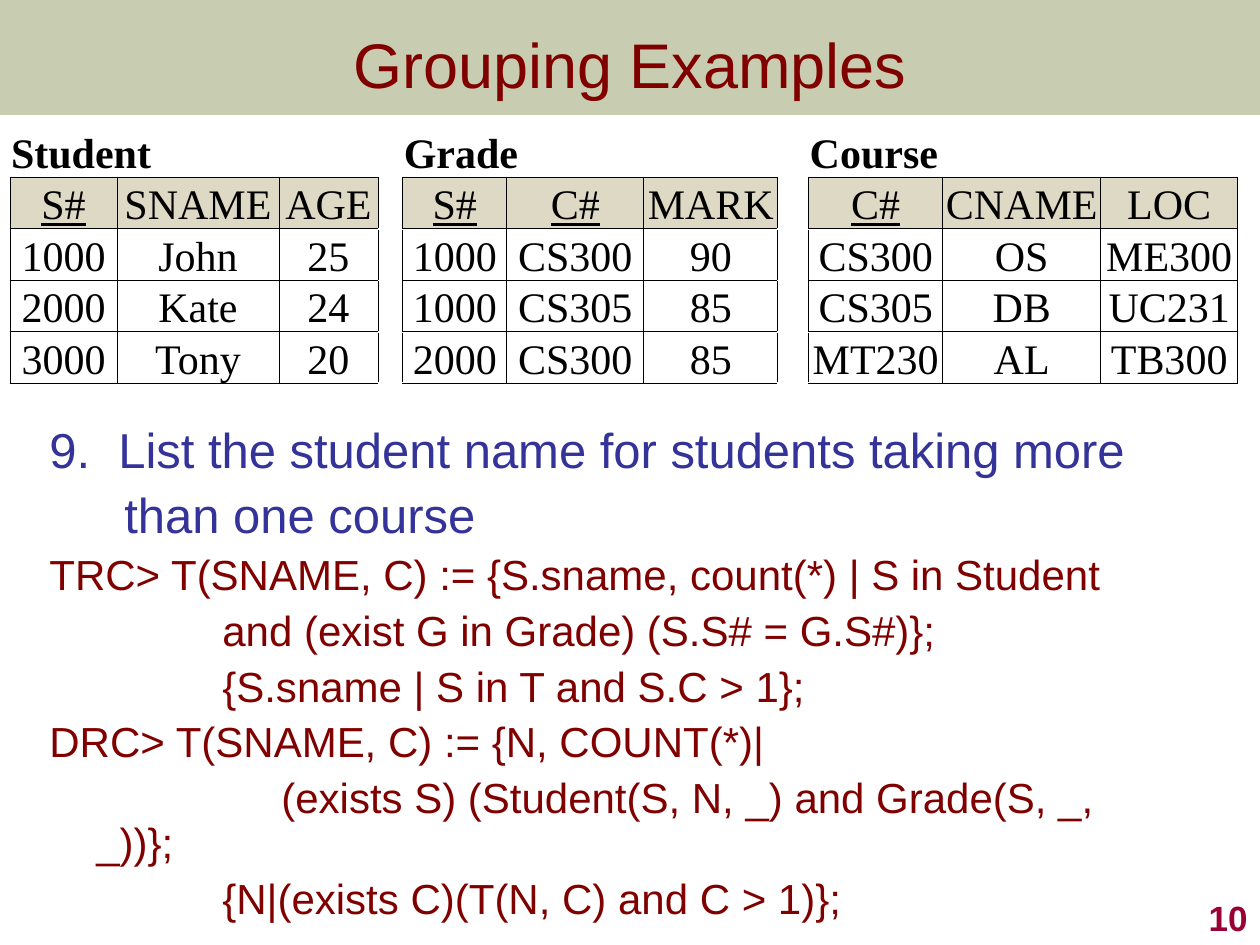
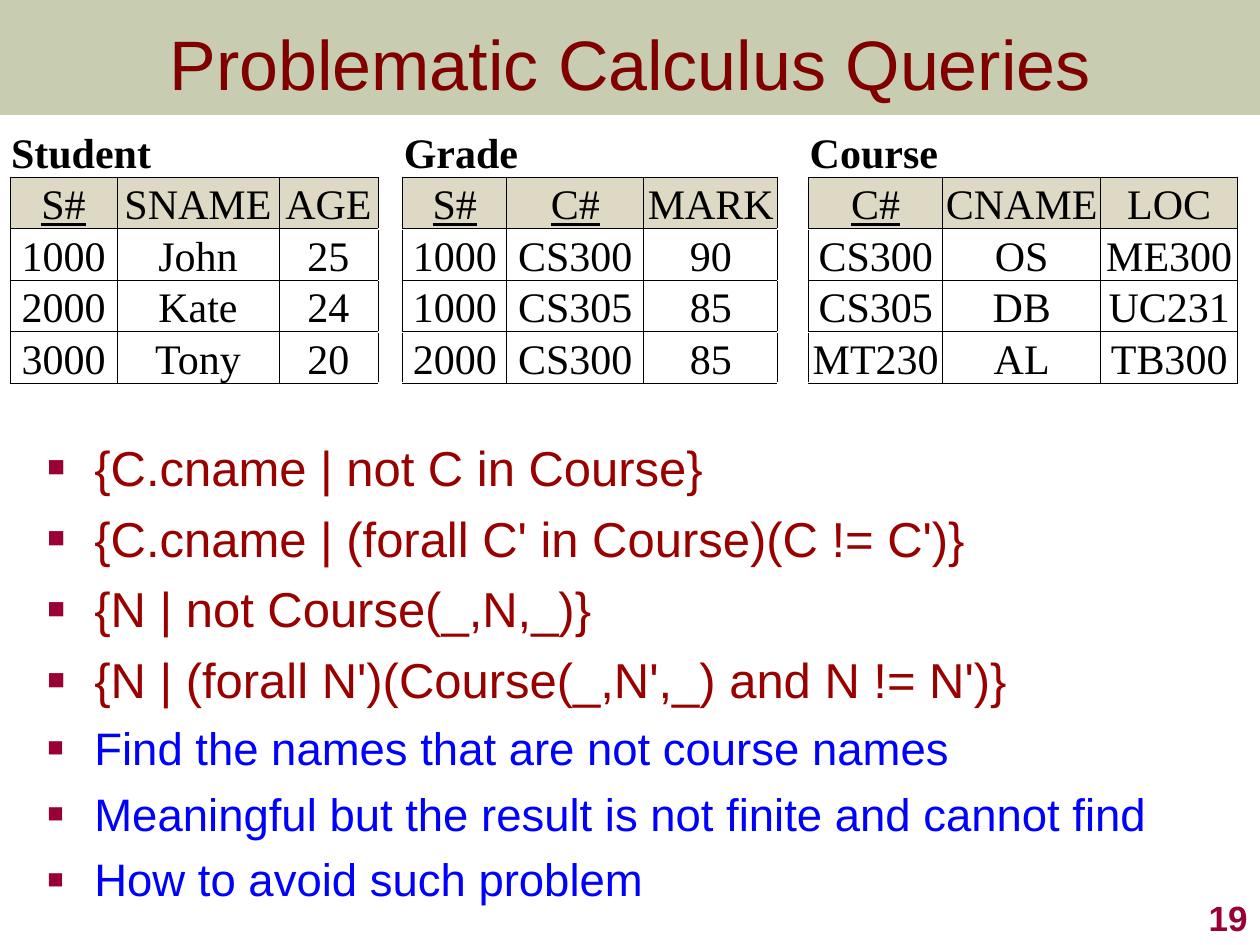
from lxml import etree
from pptx import Presentation
from pptx.dml.color import RGBColor
from pptx.enum.shapes import MSO_SHAPE
from pptx.enum.text import MSO_ANCHOR, PP_ALIGN
from pptx.oxml.ns import qn
from pptx.util import Emu, Pt

PX = 914400 // 126
SLIDE_W, SLIDE_H = 1260, 945
LEFT, CENTER, RIGHT = PP_ALIGN.LEFT, PP_ALIGN.CENTER, PP_ALIGN.RIGHT
TOP, MIDDLE, BOTTOM = MSO_ANCHOR.TOP, MSO_ANCHOR.MIDDLE, MSO_ANCHOR.BOTTOM
RECTANGLE = MSO_SHAPE.RECTANGLE

SANS, SERIF = "Arial", "Times New Roman"
OLIVE = RGBColor(0x67, 0x72, 0x28)
MAROON = RGBColor(0x80, 0x00, 0x00)
DARK_RED = RGBColor(0x99, 0x00, 0x00)
CRIMSON = RGBColor(0x99, 0x00, 0x33)
INDIGO = RGBColor(0x33, 0x33, 0x99)
BLUE = RGBColor(0x00, 0x00, 0xFF)
BLACK = RGBColor(0x00, 0x00, 0x00)
WHITE = RGBColor(0xFF, 0xFF, 0xFF)
HEADER_TAN = RGBColor(0xDD, 0xD9, 0xC4)

HANG = 47           # hanging indent of body text
GAP_RATIO = 0.245   # space before a body paragraph, per point of font size

# Relations: name, key columns, column widths, header and data rows
RELATIONS = [
    ("Student", {"S#"}, (107, 162, 99),
     [("S#", "SNAME", "AGE"), ("1000", "John", "25"),
      ("2000", "Kate", "24"), ("3000", "Tony", "20")]),
    ("Grade", {"S#", "C#"}, (104, 137, 134),
     [("S#", "C#", "MARK"), ("1000", "CS300", "90"),
      ("1000", "CS305", "85"), ("2000", "CS300", "85")]),
    ("Course", {"C#"}, (134, 158, 137),
     [("C#", "CNAME", "LOC"), ("CS300", "OS", "ME300"),
      ("CS305", "DB", "UC231"), ("MT230", "AL", "TB300")]),
]
SPACERS = (25, 31)
ROW_H = 48

# Calculus answer: text, size, colour, left margin, first-line indent
GROUPING_LINES = [
    ("9.\tList the student name for students taking more", 28, INDIGO, 69, -69),
    ("than one course", 28, INDIGO, 75, 0),
    ("TRC> T(SNAME, C) := {S.sname, count(*) | S in Student", 24, MAROON, HANG, -HANG),
    ("and (exist G in Grade) (S.S# = G.S#)};", 24, MAROON, 173, 0),
    ("{S.sname | S in T and S.C > 1};", 24, MAROON, 173, 0),
    ("DRC> T(SNAME, C) := {N, COUNT(*)|", 24, MAROON, HANG, -HANG),
    ("(exists S) (Student(S, N, _) and Grade(S, _, _))};", 24, MAROON, HANG, 185),
    ("{N|(exists C)(T(N, C) and C > 1)};", 24, MAROON, 173, 0),
]

PROBLEM_QUERIES = [
    "{C.cname | not C in Course}",
    "{C.cname | (forall C' in Course)(C != C')}",
    "{N | not Course(_,N,_)}",
    "{N | (forall N')(Course(_,N',_) and N != N')}",
]
PROBLEM_REMARKS = [
    "Find the names that are not course names",
    "Meaningful but the result is not finite and cannot find",
    "How to avoid such problem",
]


def px(length):
    return Emu(length * PX)


def set_font(paragraph, size, color, name=SANS, bold=False):
    font = paragraph.font
    font.name, font.size, font.bold = name, Pt(size), bold
    font.color.rgb = color


def add_textbox(slide, box, anchor):
    frame = slide.shapes.add_textbox(*map(px, box)).text_frame
    frame.word_wrap = True
    frame.vertical_anchor = anchor
    return frame


def add_label(slide, box, text, size, color, align, anchor, bold=False):
    paragraph = add_textbox(slide, box, anchor).paragraphs[0]
    paragraph.text, paragraph.alignment = text, align
    set_font(paragraph, size, color, bold=bold)


def add_band(slide):
    band = slide.shapes.add_shape(RECTANGLE, 0, 0, px(SLIDE_W), px(115))
    band.shadow.inherit = False
    band.fill.solid()
    band.fill.fore_color.rgb = OLIVE
    band.line.fill.background()
    tint = band.fill._xPr.find(qn("a:solidFill"))[0]
    etree.SubElement(tint, qn("a:alpha"), val="36000")


def add_bullet(properties):
    color = etree.SubElement(properties, qn("a:buClr"))
    etree.SubElement(color, qn("a:srgbClr"), val=str(CRIMSON))
    etree.SubElement(properties, qn("a:buSzPct"), val="60000")
    etree.SubElement(properties, qn("a:buFont"), typeface=SANS)
    etree.SubElement(properties, qn("a:buChar"), char="■")


def add_body(slide, box, lines, line_spacing=1.0, bulleted=False):
    frame = add_textbox(slide, box, TOP)
    frame.margin_right = 0
    for index, (text, size, color, margin, indent) in enumerate(lines):
        paragraph = frame.add_paragraph() if index else frame.paragraphs[0]
        paragraph.text = text
        properties = paragraph._p.get_or_add_pPr()
        properties.set("marL", str(px(margin)))
        properties.set("indent", str(px(indent)))
        if bulleted:
            add_bullet(properties)
        paragraph.line_spacing = line_spacing
        paragraph.space_before = Pt(round(size * GAP_RATIO, 1) if index else 0)
        set_font(paragraph, size, color)


# Relation table
def style_cell(cell, fill, edges):
    cell.margin_left = cell.margin_right = cell.margin_top = px(1)
    cell.margin_bottom = 0
    cell.vertical_anchor = BOTTOM
    properties = cell._tc.get_or_add_tcPr()
    for edge in edges:
        line = etree.SubElement(properties, qn(f"a:ln{edge}"), w=str(Pt(0.5)))
        paint = etree.SubElement(line, qn("a:solidFill"))
        etree.SubElement(paint, qn("a:srgbClr"), val=str(BLACK))
    cell.fill.solid()
    cell.fill.fore_color.rgb = fill


def write_cell(cell, text, align=CENTER, bold=False, underline=False):
    paragraph = cell.text_frame.paragraphs[0]
    paragraph.text, paragraph.alignment = text, align
    set_font(paragraph, 24, BLACK, SERIF, bold)
    paragraph.font.underline = underline


def add_relations(slide):
    widths = list(RELATIONS[0][2])
    for spacer, relation in zip(SPACERS, RELATIONS[1:]):
        widths += [spacer, *relation[2]]
    table = slide.shapes.add_table(5, len(widths), px(10), px(126),
                                   px(sum(widths)), px(5 * ROW_H)).table
    table.first_row = table.horz_banding = False
    for column, width in zip(table.columns, widths):
        column.width = px(width)
    for row in table.rows:
        row.height = px(ROW_H)

    # Spacer columns separate the relations
    for column in (3, 7):
        for row in range(5):
            style_cell(table.cell(row, column), WHITE, "LR" if row else "")

    for index, (name, keys, _, rows) in enumerate(RELATIONS):
        first = index * 4
        for column in range(first, first + 3):
            style_cell(table.cell(0, column), WHITE, "B")
        table.cell(0, first).merge(table.cell(0, first + 2))
        write_cell(table.cell(0, first), name, LEFT, bold=True)
        for row, values in enumerate(rows, 1):
            for column, value in enumerate(values, first):
                cell = table.cell(row, column)
                style_cell(cell, HEADER_TAN if row == 1 else WHITE, "LRTB")
                write_cell(cell, value, underline=row == 1 and value in keys)


def add_query_slide(deck, title, title_size, number):
    slide = deck.slides.add_slide(deck.slide_layouts[6])
    add_band(slide)
    add_label(slide, (0, 0, SLIDE_W, 126), title, title_size, MAROON, CENTER, MIDDLE)
    add_label(slide, (998, 882, 262, 63), number, 20, CRIMSON, RIGHT, BOTTOM, bold=True)
    add_relations(slide)
    return slide


def main():
    deck = Presentation()
    deck.slide_width, deck.slide_height = px(SLIDE_W), px(SLIDE_H)

    grouping = add_query_slide(deck, "Grouping Examples", 36, "10")
    add_body(grouping, (37, 420, 1140, 431), GROUPING_LINES, line_spacing=0.9)

    problems = add_query_slide(deck, "Problematic Calculus Queries", 40, "19")
    bullets = [(text, 28, DARK_RED, HANG, -HANG) for text in PROBLEM_QUERIES]
    bullets += [(text, 26, BLUE, HANG, -HANG) for text in PROBLEM_REMARKS]
    add_body(problems, (35, 431, 1215, 514), bullets, bulleted=True)

    deck.save("out.pptx")


if __name__ == "__main__":
    main()
